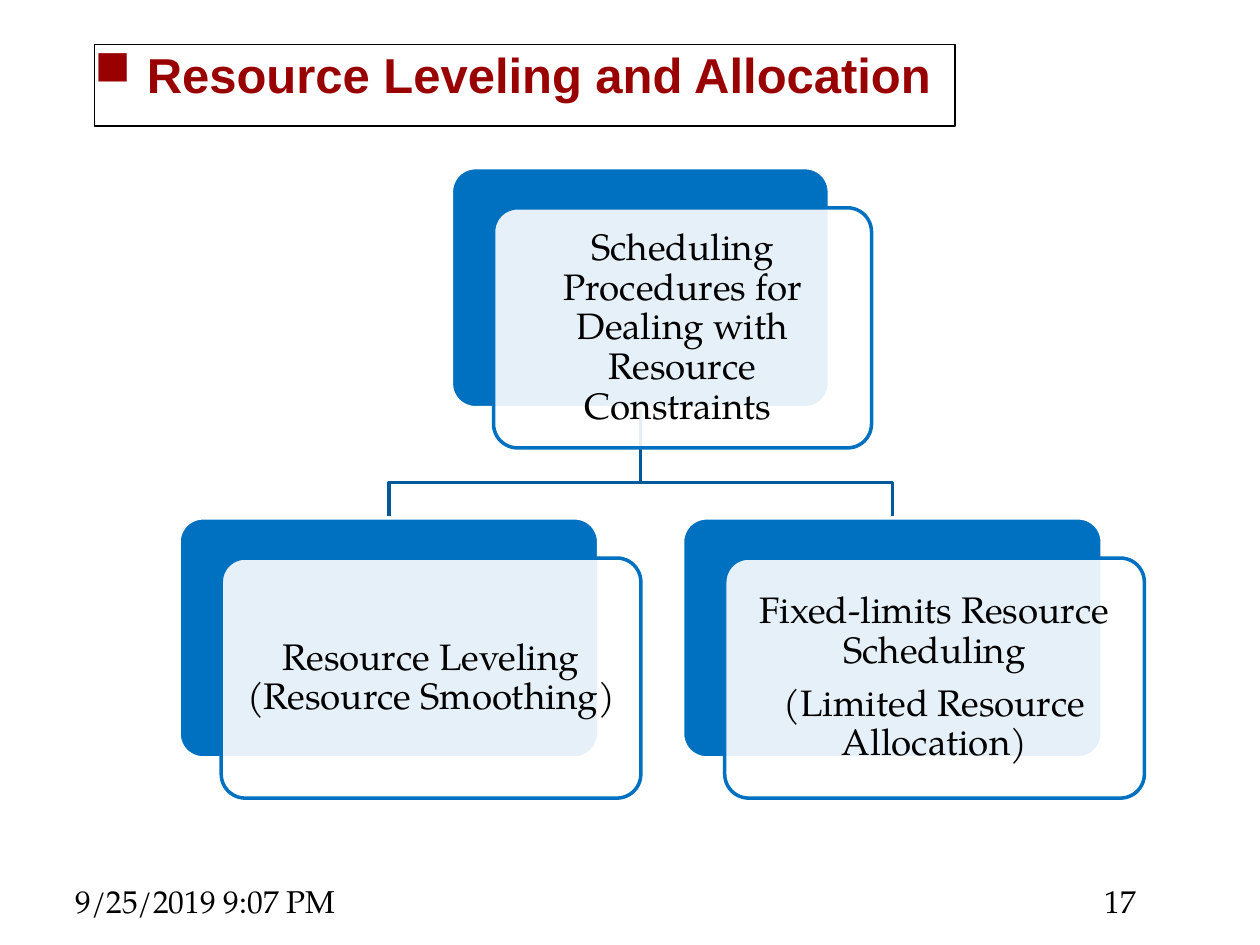
from lxml import etree
from pptx import Presentation
from pptx import util as u
from pptx.dml.color import RGBColor
from pptx.enum import shapes, text
from pptx.oxml.ns import qn

BLACK = RGBColor(0x00, 0x00, 0x00)
WHITE = RGBColor(0xFF, 0xFF, 0xFF)
RED = RGBColor(0x99, 0x00, 0x00)
BLUE = RGBColor(0x00, 0x70, 0xC0)
DARK_BLUE = RGBColor(0x00, 0x5A, 0x9A)
SERIF = "TeX Gyre Pagella"

HEADING = "Resource Leveling and Allocation"
FOOTERS = [("9/25/2019 9:07 PM", 1.27, 5.92), ("17", 22.02, 2.11)]
ROOT = (["Scheduling Procedures for Dealing with Resource Constraints "], 9.1, 3.38, 7.62)
BRANCHES = [
    (["Resource Leveling (Resource Smoothing)"], 3.61, 10.44, 8.46),
    (["Fixed-limits Resource Scheduling", "(Limited Resource Allocation)"], 13.76, 10.44, 8.46),
]
CARD_HEIGHT = 4.84
SHIFT_X, SHIFT_Y = 0.85, 0.81
FORK_Y = 9.73


def write(frame, lines, size, font=SERIF, color=BLACK, bold=False, align=text.PP_ALIGN.LEFT,
          anchor=text.MSO_ANCHOR.TOP, inset=None, spacing=None, after=None, bullet=None):
    frame.word_wrap = True
    frame.auto_size = text.MSO_AUTO_SIZE.NONE
    frame.vertical_anchor = anchor
    if inset is not None:
        frame.margin_left = frame.margin_right = u.Cm(inset)
        frame.margin_top = frame.margin_bottom = u.Cm(inset)
    for index, line in enumerate(lines):
        para = frame.add_paragraph() if index else frame.paragraphs[0]
        para.text = line
        para.alignment = align
        if spacing:
            para.line_spacing = spacing
        if after:
            para.space_after = u.Pt(after)
        if bullet:
            props = para._p.get_or_add_pPr()
            props.set("marL", str(u.Cm(1.06)))
            props.set("indent", str(-u.Cm(1.06)))
            tint = etree.SubElement(props, qn("a:buClr"))
            etree.SubElement(tint, qn("a:srgbClr"), val=str(color))
            etree.SubElement(props, qn("a:buChar"), char=bullet)
        para.font.name = font
        para.font.size = u.Pt(size)
        para.font.bold = bold
        para.font.color.rgb = color


def panel(slide, left, top, width, fill, line):
    card = slide.shapes.add_shape(shapes.MSO_SHAPE.ROUNDED_RECTANGLE, u.Cm(left), u.Cm(top),
                                  u.Cm(width), u.Cm(CARD_HEIGHT))
    card.adjustments[0] = 0.1
    card.shadow.inherit = False
    card.fill.solid()
    card.fill.fore_color.rgb = fill
    card.line.color.rgb = line
    card.line.width = u.Pt(2)
    return card


def node(slide, lines, left, top, width):
    panel(slide, left, top, width, BLUE, WHITE)
    front = panel(slide, left + SHIFT_X, top + SHIFT_Y, width, WHITE, BLUE)
    tint = front.fill._xPr.find(qn("a:solidFill"))[0]
    etree.SubElement(tint, qn("a:alpha"), val="90000")
    write(front.text_frame, lines, 21, align=text.PP_ALIGN.CENTER,
          anchor=text.MSO_ANCHOR.MIDDLE, inset=0.23, spacing=0.9, after=7.35)


def branch_line(slide, branch):
    _, root_left, root_top, root_width = ROOT
    _, left, top, width = branch
    start_x, end_x = root_left + root_width / 2, left + width / 2
    builder = slide.shapes.build_freeform(u.Cm(start_x), u.Cm(root_top + CARD_HEIGHT))
    corners = [(start_x, FORK_Y), (end_x, FORK_Y), (end_x, top)]
    builder.add_line_segments([(u.Cm(x), u.Cm(y)) for x, y in corners], close=False)
    elbow = builder.convert_to_shape()
    elbow.shadow.inherit = False
    elbow.fill.background()
    elbow.line.color.rgb = DARK_BLUE
    elbow.line.width = u.Pt(2)


def main():
    deck = Presentation()
    deck.slide_width, deck.slide_height = u.Cm(25.4), u.Cm(19.05)
    slide = deck.slides.add_slide(deck.slide_layouts[5])

    heading = slide.shapes.title
    heading.left, heading.top = u.Cm(1.9), u.Cm(0.89)
    heading.width, heading.height = u.Cm(17.35), u.Cm(1.65)
    heading.fill.solid()
    heading.fill.fore_color.rgb = WHITE
    heading.line.color.rgb = BLACK
    heading.line.width = u.Pt(0.75)
    write(heading.text_frame, [HEADING], 28, font="Arial", color=RED, bold=True,
          inset=0, bullet="■")

    for label, left, width in FOOTERS:
        footer = slide.shapes.add_textbox(u.Cm(left), u.Cm(17.65), u.Cm(width), u.Cm(1.02))
        write(footer.text_frame, [label], 18)

    for branch in BRANCHES:
        branch_line(slide, branch)
    for entry in [ROOT, *BRANCHES]:
        node(slide, *entry)

    deck.save("out.pptx")


if __name__ == "__main__":
    main()
